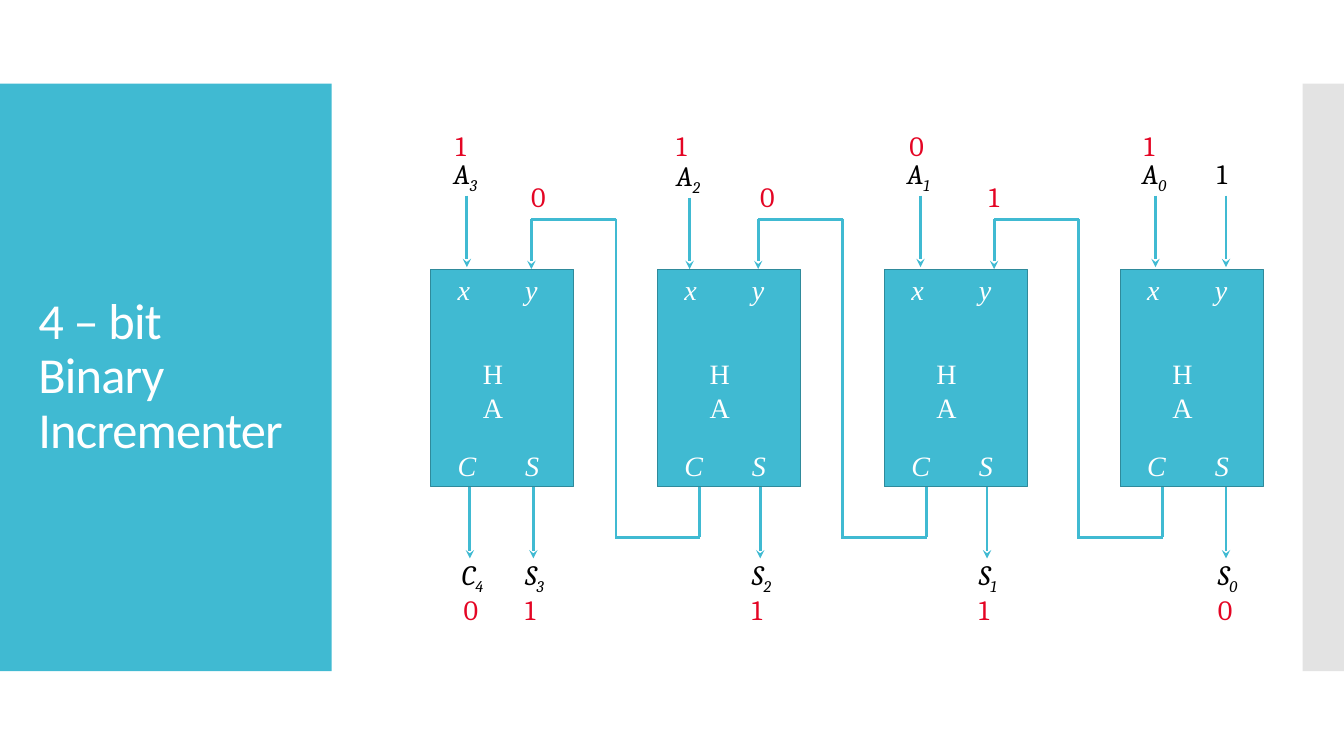
"""Build the slide that shows a 4-bit binary incrementer made of half adders."""
from dataclasses import dataclass

from lxml.etree import SubElement
from pptx import Presentation
from pptx.dml.color import RGBColor
from pptx.enum.shapes import MSO_CONNECTOR as Connector, MSO_SHAPE as Preset
from pptx.enum.text import MSO_ANCHOR as Anchor, MSO_AUTO_SIZE as AutoSize, PP_ALIGN as Align
from pptx.oxml.ns import qn
from pptx.shapes.autoshape import Shape
from pptx.shapes.shapetree import GroupShapes, SlideShapes
from pptx.slide import Slide
from pptx.util import Pt

EMU_PER_PX = 9144
BLOCK_TOP, BLOCK_BOTTOM, BLOCK_WIDTH = 267, 483, 142
ARROW_HEIGHT, LABEL_HEIGHT = 71, 44
Shapes = SlideShapes | GroupShapes
Point = tuple[int, int]


@dataclass(frozen=True)
class Theme:
    teal: str = "40BAD2"
    outline: str = "2F8A9B"
    gray: str = "C8C8C8"
    white: str = "FFFFFF"
    black: str = "000000"
    red: str = "E40524"
    title_font: str = "Calibri"
    block_font: str = "Times New Roman"
    label_font: str = "Cambria"
    title_size: int = 36
    label_size: int = 20
    wire_width: float = 2
    outline_width: float = 0.85


@dataclass(frozen=True)
class Stage:
    index: int
    left: int
    input_x: int
    input_top: int
    input_bit: str
    input_bit_left: int
    sum_x: int
    sum_bit: str
    carry_bit: str
    carry_bit_left: int


@dataclass(frozen=True)
class Pin:
    text: str
    left: int
    top: int
    width: int
    italic: bool = True


THEME = Theme()
STAGES = (
    Stage(0, 1111, 1146, 194, "1", 1125, 1216, "0", "1", 971),
    Stage(1, 877, 913, 194, "0", 892, 979, "1", "0", 744),
    Stage(2, 652, 684, 196, "1", 661, 754, "1", "0", 517),
    Stage(3, 427, 463, 194, "1", 442, 529, "1", "0", 450),
)
PINS = (
    Pin("x", 17, 265, 34),
    Pin("y", 84, 265, 34),
    Pin("C", 17, 440, 36),
    Pin("S", 84, 440, 34),
    Pin("HA", 42, 349, 57, italic=False),
)


def px(length: int) -> int:
    """Turn px into EMU."""
    return length * EMU_PER_PX


def write(shape: Shape, text: str, *, font: str, size: int, color: str, italic: bool = False,
          subscript: str = "", spacing: int = 0) -> None:
    """Write one left-aligned paragraph with an optional subscript."""
    paragraph = shape.text_frame.paragraphs[0]
    paragraph.alignment = Align.LEFT
    for content in filter(None, (text, subscript)):
        run = paragraph.add_run()
        run.text = content
        run.font.name, run.font.size, run.font.italic = font, Pt(size), italic
        run.font.color.rgb = RGBColor.from_string(color)
    properties = list(shape.element.iter(qn("a:rPr")))
    if subscript:
        properties[-1].set("baseline", "-25000")
    if spacing:
        properties[0].set("spc", str(spacing))


def add_label(shapes: Shapes, text: str, left: int, top: int, width: int, *, color: str = THEME.black,
              font: str = THEME.label_font, italic: bool = False, subscript: str = "") -> None:
    """Add a small text box."""
    box = shapes.add_textbox(px(left), px(top), px(width), px(LABEL_HEIGHT))
    box.text_frame.word_wrap = True
    box.text_frame.auto_size = AutoSize.SHAPE_TO_FIT_TEXT
    write(box, text, font=font, size=THEME.label_size, color=color, italic=italic, subscript=subscript)


def add_bit(shapes: Shapes, bit: str, left: int, top: int) -> None:
    """Add a red bit value."""
    add_label(shapes, bit, left, top, 36, color=THEME.red)


def add_signal(shapes: Shapes, name: str, index: int, left: int, top: int) -> None:
    """Add a signal name with its index."""
    add_label(shapes, name, left, top, 46, italic=True, subscript=str(index))


def add_rectangle(shapes: Shapes, left: int, top: int, width: int, height: int, fill: str) -> Shape:
    """Add a filled rectangle without an outline."""
    rectangle = shapes.add_shape(Preset.RECTANGLE, px(left), px(top), px(width), px(height))
    rectangle.shadow.inherit = False
    rectangle.fill.solid()
    rectangle.fill.fore_color.rgb = RGBColor.from_string(fill)
    rectangle.line.fill.background()
    return rectangle


def add_wire(shapes: Shapes, start: Point, end: Point, arrow: bool = False) -> None:
    """Add a straight wire, with an arrowhead at its end if asked."""
    wire = shapes.add_connector(Connector.STRAIGHT, *map(px, start + end))
    wire.line.color.rgb = RGBColor.from_string(THEME.teal)
    wire.line.width = Pt(THEME.wire_width)
    if arrow:
        SubElement(wire.element.spPr.find(qn("a:ln")), qn("a:tailEnd"), type="stealth")
    SubElement(wire.element.spPr, qn("a:effectLst"))


def add_down_arrow(shapes: Shapes, x: int, top: int) -> None:
    """Add a vertical arrow into or out of a block."""
    add_wire(shapes, (x, top), (x, top + ARROW_HEIGHT), arrow=True)


def add_half_adder(slide: Slide, left: int) -> None:
    """Add a half adder block with its pin names."""
    shapes = slide.shapes.add_group_shape().shapes
    block = add_rectangle(shapes, left, BLOCK_TOP, BLOCK_WIDTH, BLOCK_BOTTOM - BLOCK_TOP, THEME.teal)
    block.line.color.rgb = RGBColor.from_string(THEME.outline)
    block.line.width = Pt(THEME.outline_width)
    for pin in PINS:
        add_label(shapes, pin.text, left + pin.left, pin.top, pin.width, color=THEME.white,
                  font=THEME.block_font, italic=pin.italic)


def add_carry(slide: Slide, out_x: int) -> None:
    """Add the carry wire from one block to the next on its left."""
    shapes = slide.shapes.add_group_shape().shapes
    rail_x, entry_x = out_x - 83, out_x - 167
    add_wire(shapes, (out_x, BLOCK_BOTTOM), (out_x, 533))
    add_wire(shapes, (out_x, 533), (rail_x, 533))
    add_wire(shapes, (rail_x, 217), (rail_x, 535))
    add_wire(shapes, (rail_x, 218), (entry_x, 218))
    add_wire(shapes, (entry_x, 217), (entry_x, BLOCK_TOP), arrow=True)


def add_stage(slide: Slide, stage: Stage) -> None:
    """Add one bit of the incrementer with its inputs and outputs."""
    shapes = slide.shapes
    add_half_adder(slide, stage.left)
    add_down_arrow(shapes, stage.input_x, stage.input_top)
    add_signal(shapes, "A", stage.index, stage.input_x - 23, stage.input_top - 44)
    add_bit(shapes, stage.input_bit, stage.input_bit_left, 123)
    add_down_arrow(shapes, stage.sum_x, BLOCK_BOTTOM)
    add_signal(shapes, "S", stage.index, stage.sum_x - 18, 548)
    add_bit(shapes, stage.sum_bit, stage.sum_x - 18, 583)
    if stage is STAGES[-1]:
        add_down_arrow(shapes, stage.left + 39, BLOCK_BOTTOM)
        add_signal(shapes, "C", len(STAGES), stage.left + 21, 548)
        add_bit(shapes, stage.carry_bit, stage.carry_bit_left, 583)
    else:
        add_carry(slide, stage.left + 42)
        add_bit(shapes, stage.carry_bit, stage.carry_bit_left, 173)


def add_title(slide: Slide) -> None:
    """Add the side panels and the title over them."""
    title = slide.shapes.title
    panel = add_rectangle(slide.shapes, 0, 83, 329, 583, THEME.teal)
    strip = add_rectangle(slide.shapes, 1292, 83, 41, 583, THEME.gray)
    SubElement(next(strip.element.spPr.iter(qn("a:srgbClr"))), qn("a:alpha"), val="50000")
    for backdrop in (panel, strip):
        title.element.addprevious(backdrop.element)
    title.left, title.top, title.width, title.height = map(px, (28, 123, 274, 503))
    frame = title.text_frame
    frame.word_wrap, frame.auto_size, frame.vertical_anchor = True, AutoSize.NONE, Anchor.MIDDLE
    frame.paragraphs[0].line_spacing = 0.9
    write(title, "4 – bit Binary Incrementer", font=THEME.title_font, size=THEME.title_size,
          color=THEME.white, spacing=-60)


def main() -> None:
    """Build and save the presentation."""
    presentation = Presentation()
    presentation.slide_width, presentation.slide_height = px(1333), px(750)
    slide = presentation.slides.add_slide(presentation.slide_layouts[5])
    add_title(slide)
    for stage in STAGES:
        add_stage(slide, stage)
    add_down_arrow(slide.shapes, 1216, 194)
    add_label(slide.shapes, "1", 1197, 150, 39)
    presentation.save("out.pptx")


if __name__ == "__main__":
    main()
